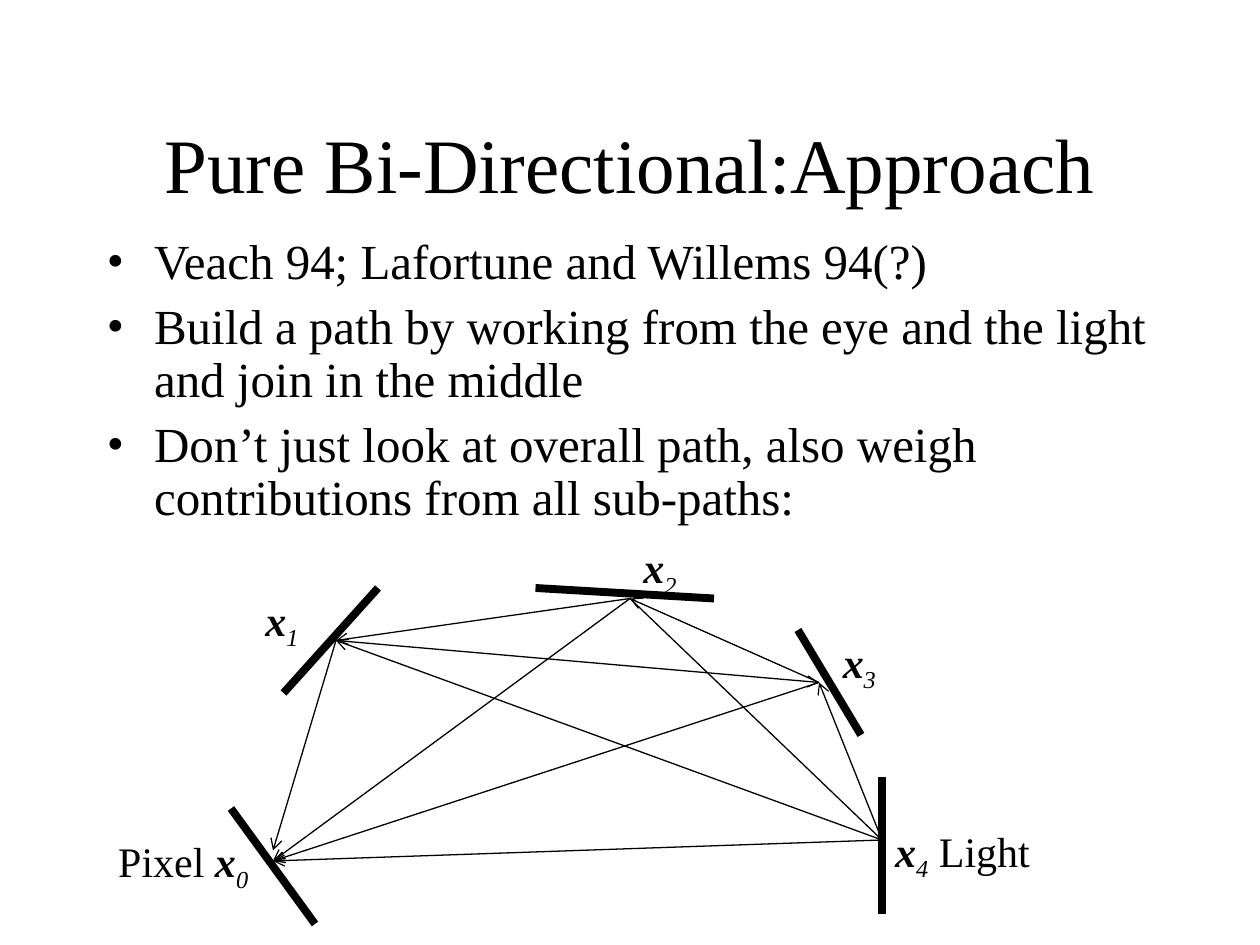
import pptx
import pptx.dml.color
import pptx.enum.shapes
import pptx.enum.text
import pptx.oxml
import pptx.oxml.ns
import pptx.util

Pt = pptx.util.Pt
BLACK = pptx.dml.color.RGBColor(0, 0, 0)
FONT = "Times New Roman"
PLAIN, BOLD, SUB = "plain", "bold", "subscript"

BULLETS = [
    "Veach 94; Lafortune and Willems 94(?)",
    "Build a path by working from the eye and the light and join in the middle",
    "Don’t just look at overall path, also weigh contributions from all sub-paths:",
]

# Diagram coordinates are points relative to the diagram's corner
SURFACES = [
    ((72, 156), (120, 222)),
    ((102, 90), (156, 30)),
    ((246, 30), (348, 36)),
    ((396, 54), (432, 114)),
    ((444, 138), (444, 216)),
]
NODES = {
    "pixel edge": (96, 180),
    "x0": (96, 186),
    "x1": (132, 60),
    "x2": (300, 36),
    "x3": (408, 84),
    "x4": (444, 174),
}
# Start node, end node, arrowhead at the end
RAYS = [
    ("x1", "pixel edge", True),
    ("x2", "x1", True),
    ("x3", "x2", True),
    ("x4", "x3", True),
    ("x4", "x2", False),
    ("x4", "x1", True),
    ("x4", "x0", True),
    ("x2", "x0", True),
    ("x3", "x0", True),
    ("x1", "x3", True),
]
# Left, top, width, styled pieces
LABELS = [
    (0.5, 168, 89, [("Pixel", PLAIN), (" x", BOLD), ("0", SUB)]),
    (84.5, 30, 34, [("x", BOLD), ("1", SUB)]),
    (300.5, 0, 34, [("x", BOLD), ("2", SUB)]),
    (414.5, 54, 34, [("x", BOLD), ("3", SUB)]),
    (444.5, 162, 92, [("x", BOLD), ("4", SUB), (" Light", PLAIN)]),
]


def format_span(span, size):
    span.font.name = FONT
    span.font.size = Pt(size)
    span.font.color.rgb = BLACK


def add_title(page, left, top, width, height):
    title = page.shapes.title
    title.left, title.top = Pt(left), Pt(top)
    title.width, title.height = Pt(width), Pt(height)
    frame = title.text_frame
    frame.text = "Pure Bi-Directional:Approach"
    frame.auto_size = pptx.enum.text.MSO_AUTO_SIZE.NONE
    frame.vertical_anchor = pptx.enum.text.MSO_ANCHOR.MIDDLE
    para = frame.paragraphs[0]
    para.alignment = pptx.enum.text.PP_ALIGN.CENTER
    format_span(para.runs[0], 44)


def add_bullets(page, left, top, width, height):
    box = page.shapes.add_textbox(Pt(left), Pt(top), Pt(width), Pt(height))
    frame = box.text_frame
    frame.word_wrap = True
    frame.text = "\n".join(BULLETS)
    names = pptx.oxml.ns.nsdecls("a")
    for para in frame.paragraphs:
        para.line_spacing = 0.9
        para.space_before = Pt(7)
        format_span(para.runs[0], 28)
        # Hanging bullet
        properties = para._p.get_or_add_pPr()
        properties.set("marL", str(Pt(27)))
        properties.set("indent", str(-Pt(27)))
        for markup in (f"<a:buFont {names} typeface='{FONT}'/>",
                       f"<a:buChar {names} char='•'/>"):
            properties.append(pptx.oxml.parse_xml(markup))


def add_line(page, start, end, weight, arrow=False):
    line = page.shapes.add_connector(
        pptx.enum.shapes.MSO_CONNECTOR.STRAIGHT,
        *(Pt(value) for value in (*start, *end)))
    line.line.color.rgb = BLACK
    line.line.width = Pt(weight)
    names = pptx.oxml.ns.nsdecls("a")
    if arrow:
        line.line._get_or_add_ln().append(
            pptx.oxml.parse_xml(f"<a:tailEnd {names} type='arrow'/>"))
    line._element.spPr.append(pptx.oxml.parse_xml(f"<a:effectLst {names}/>"))


def add_label(page, left, top, width, pieces):
    box = page.shapes.add_textbox(Pt(left), Pt(top), Pt(width), Pt(40))
    frame = box.text_frame
    frame.word_wrap = False
    frame.auto_size = pptx.enum.text.MSO_AUTO_SIZE.SHAPE_TO_FIT_TEXT
    for text, style in pieces:
        span = frame.paragraphs[0].add_run()
        span.text = text
        format_span(span, 24)
        span.font.bold = style == BOLD
        span.font.italic = style != PLAIN
        if style == SUB:
            span.font._element.set("baseline", "-25000")


def add_diagram(page, left, top):
    def place(point):
        return left + point[0], top + point[1]

    # Surfaces
    for start, end in SURFACES:
        add_line(page, place(start), place(end), 4.5)
    # Vertex labels
    for label_left, label_top, width, pieces in LABELS:
        add_label(page, left + label_left, top + label_top, width, pieces)
    # Light paths and sub-paths
    for start, end, arrow in RAYS:
        add_line(page, place(NODES[start]), place(NODES[end]), 0.75, arrow)


def main():
    deck = pptx.Presentation()
    deck.slide_width, deck.slide_height = Pt(720), Pt(540)
    page = deck.slides.add_slide(deck.slide_layouts.get_by_name("Title Only"))
    add_title(page, 54, 48, 612, 90)
    add_bullets(page, 54, 132, 612, 186)
    add_diagram(page, 60, 306)
    deck.save("out.pptx")


if __name__ == "__main__":
    main()
